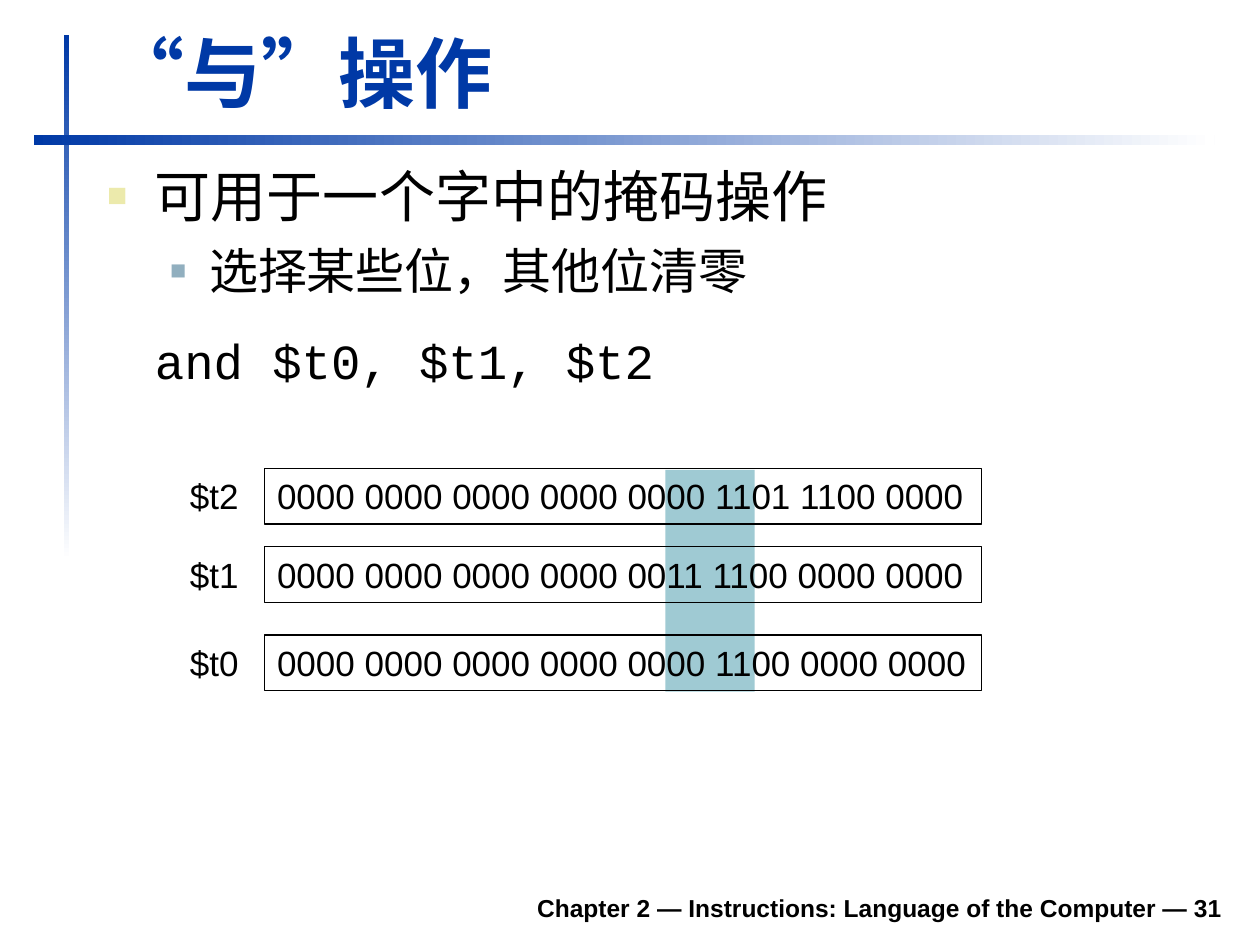
from lxml import etree
from pptx import Presentation
from pptx.dml.color import RGBColor
from pptx.enum import lang, shapes, text
from pptx.oxml.ns import qn
from pptx.util import Inches, Pt

COLORS = {"blue": "0039A6", "white": "FFFFFF", "black": "000000",
          "mask": "9FCAD3", "bullet1": "ECEAAC", "bullet2": "91AFBF"}


def write(p, content, size=20, color="black", bold=False, font="Arial",
          align=text.PP_ALIGN.LEFT, before=0, after=0, margin=0, hang=0,
          bullet=None, bullet_pct=60, chinese=False):
    p.alignment = align
    p.line_spacing = 1.0
    p.space_before, p.space_after = Pt(before), Pt(after)
    pPr = p._p.get_or_add_pPr()
    pPr.set("marL", str(Inches(margin)))
    pPr.set("indent", str(Inches(-hang)))
    if bullet:
        clr = etree.SubElement(pPr, qn("a:buClr"))
        etree.SubElement(clr, qn("a:srgbClr"), val=COLORS[bullet])
        etree.SubElement(pPr, qn("a:buSzPct"), val=str(bullet_pct * 1000))
        etree.SubElement(pPr, qn("a:buFont"), typeface="Arial")
        etree.SubElement(pPr, qn("a:buChar"), char="■")
    else:
        etree.SubElement(pPr, qn("a:buNone"))
    r = p.add_run()
    r.text = content
    r.font.size, r.font.bold, r.font.name = Pt(size), bold, font
    r.font.color.rgb = RGBColor.from_string(COLORS[color])
    if chinese:
        r.font.language_id = lang.MSO_LANGUAGE_ID.SIMPLIFIED_CHINESE


prs = Presentation()
prs.slide_width, prs.slide_height = Inches(10), Inches(7.5)
s = prs.slides.add_slide(prs.slide_layouts[1])
title, body = s.shapes.title, s.placeholders[1]

for x, y, w, h, angle in [(0.51, 0.28, 0.04, 4.17, 270),
                          (0.27, 1.07, 9.37, 0.08, 0)]:
    sp = s.shapes.add_shape(shapes.MSO_SHAPE.RECTANGLE,
                            Inches(x), Inches(y), Inches(w), Inches(h))
    sp.shadow.inherit = False
    sp.line.fill.background()
    sp.fill.gradient()
    sp.fill.gradient_angle = angle
    for stop, name, pos in zip(sp.fill.gradient_stops, ("blue", "white"), (0, 1)):
        stop.color.rgb = RGBColor.from_string(COLORS[name])
        stop.position = pos

title.left, title.top = Inches(0.75), Inches(0.16)
title.width, title.height = Inches(9.03), Inches(0.83)
tf = title.text_frame
tf.auto_size = text.MSO_AUTO_SIZE.NONE
tf.vertical_anchor = text.MSO_ANCHOR.BOTTOM
write(tf.paragraphs[0], "“与”操作", size=44, color="blue", bold=True, chinese=True)

body.left, body.top = Inches(0.75), Inches(1.23)
body.width, body.height = Inches(9.04), Inches(2.27)
tf = body.text_frame
tf.auto_size = text.MSO_AUTO_SIZE.NONE
write(tf.paragraphs[0], "可用于一个字中的掩码操作", size=32, margin=0.38, hang=0.38,
      bullet="bullet1", chinese=True)
p = tf.add_paragraph()
p.level = 1
write(p, "选择某些位，其他位清零", size=28, before=7, margin=0.81, hang=0.31,
      bullet="bullet2", bullet_pct=55, chinese=True)
write(tf.add_paragraph(), "and $t0, $t1, $t2", size=28, font="Courier New",
      before=17.5, after=10.5, margin=0.38)

sp = s.shapes.add_shape(shapes.MSO_SHAPE.RECTANGLE,
                        Inches(5.28), Inches(3.73), Inches(0.71), Inches(1.76))
sp.shadow.inherit = False
sp.fill.solid()
sp.fill.fore_color.rgb = RGBColor.from_string(COLORS["mask"])
sp.line.fill.background()

registers = [("$t2", "0000 0000 0000 0000 0000 1101 1100 0000", 3.72),
             ("$t1", "0000 0000 0000 0000 0011 1100 0000 0000", 4.34),
             ("$t0", "0000 0000 0000 0000 0000 1100 0000 0000", 5.04)]
for name, bits, y in registers:
    sp = s.shapes.add_shape(shapes.MSO_SHAPE.RECTANGLE,
                            Inches(2.1), Inches(y), Inches(5.69), Inches(0.44))
    sp.shadow.inherit = False
    sp.fill.background()
    sp.line.color.rgb = RGBColor.from_string(COLORS["black"])
    sp.line.width = Pt(0.75)
    label = s.shapes.add_textbox(Inches(1.41), Inches(y), Inches(0.6), Inches(0.44))
    label.text_frame.auto_size = text.MSO_AUTO_SIZE.SHAPE_TO_FIT_TEXT
    for box, content in ((sp, bits), (label, name)):
        tf = box.text_frame
        tf.word_wrap = False
        tf.vertical_anchor = text.MSO_ANCHOR.TOP
        write(tf.paragraphs[0], content)

footer = s.shapes.add_textbox(Inches(1.85), Inches(6.98), Inches(7.95), Inches(0.39))
tf = footer.text_frame
tf.word_wrap = True
tf.vertical_anchor = text.MSO_ANCHOR.BOTTOM
write(tf.paragraphs[0], "Chapter 2 — Instructions: Language of the Computer — 31",
      size=14, bold=True, align=text.PP_ALIGN.RIGHT)

prs.save("out.pptx")
